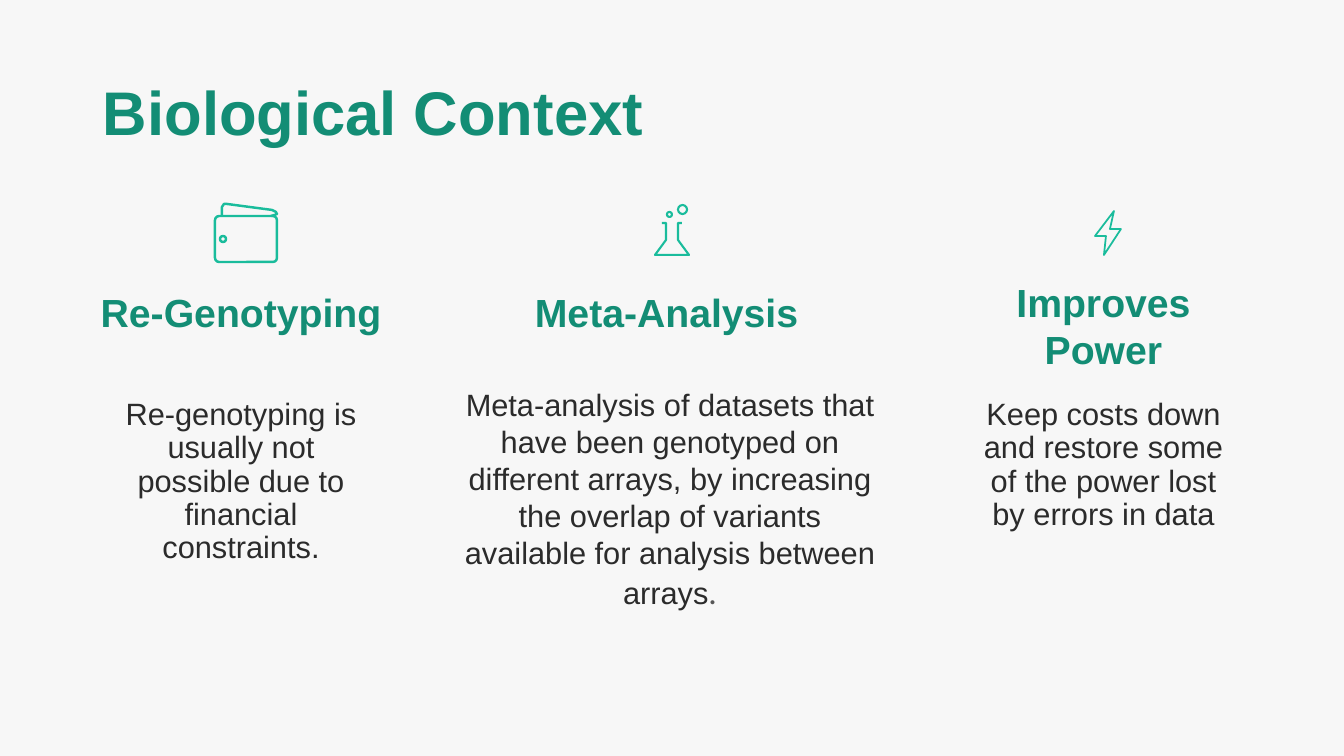
from lxml import etree
from pptx import Presentation
from pptx.dml.color import RGBColor
from pptx.enum.shapes import MSO_SHAPE
from pptx.enum.text import MSO_ANCHOR, MSO_AUTO_SIZE, PP_ALIGN
from pptx.oxml.ns import qn
from pptx.util import Pt

SCALE = 914400 / 100.8
BACKGROUND = RGBColor(0xF7, 0xF7, 0xF7)
GREEN = RGBColor(0x13, 0x8D, 0x75)
MINT = RGBColor(0x1A, 0xBC, 0x9C)
DARK = RGBColor(0x2B, 0x2B, 0x2B)
GRAY = RGBColor(0x56, 0x56, 0x56)
LEFT, CENTER = PP_ALIGN.LEFT, PP_ALIGN.CENTER
TOP, BOTTOM = MSO_ANCHOR.TOP, MSO_ANCHOR.BOTTOM
FIXED, GROW = MSO_AUTO_SIZE.NONE, MSO_AUTO_SIZE.SHAPE_TO_FIT_TEXT
OVAL, ROUNDED = MSO_SHAPE.OVAL, MSO_SHAPE.ROUNDED_RECTANGLE

TITLE = {"name": "Arial", "size": Pt(44), "bold": True}
HEADING = {"name": "Arial", "size": Pt(28), "bold": True}
BODY = {"name": "Arial", "size": Pt(22), "bold": False}
FULL_STOP = {"name": "Calibri", "size": Pt(24), "bold": False}


def px(value):
    return round(value * SCALE)


def apply(target, values):
    for name, value in values.items():
        setattr(target, name, value)


class SlideBuilder:
    """Holds the slide and draws its title, texts and line icons."""

    def __init__(self, presentation):
        self.slide = presentation.slides.add_slide(presentation.slide_layouts[5])
        self.slide.background.fill.solid()
        self.slide.background.fill.fore_color.rgb = BACKGROUND

    def place(self, shape, box):
        apply(shape, dict(zip(("left", "top", "width", "height"), map(px, box))))

    def fill_text(self, shape, runs, frame_format, paragraph_format):
        apply(shape.text_frame, {"word_wrap": True, **frame_format})
        paragraph = shape.text_frame.paragraphs[0]
        apply(paragraph, {"space_before": Pt(0), **paragraph_format})
        for text, style, color in runs:
            run = paragraph.add_run()
            run.text = text
            apply(run.font, style)
            run.font.color.rgb = color

    def title(self, text, box):
        shape = self.slide.shapes.title
        self.place(shape, box)
        shape.fill.solid()
        shape.fill.fore_color.rgb = BACKGROUND
        frame_format = {"vertical_anchor": TOP, "auto_size": FIXED, "margin_left": px(10),
                        "margin_top": px(9), "margin_bottom": 0}
        self.fill_text(shape, [(text, TITLE, GREEN)], frame_format,
                       {"alignment": LEFT, "line_spacing": 0.9})

    def text(self, runs, box, anchor=TOP, line_spacing=1.0):
        shape = self.slide.shapes.add_textbox(*map(px, box))
        frame_format = {"vertical_anchor": anchor, "auto_size": GROW, "margin_left": 0,
                        "margin_right": px(10), "margin_top": px(5), "margin_bottom": px(5)}
        self.fill_text(shape, runs, frame_format,
                       {"alignment": CENTER, "line_spacing": line_spacing})

    def icon(self):
        return self.slide.shapes.add_group_shape().shapes

    def outline(self, shape, weight):
        shape.shadow.inherit = False
        shape.fill.background()
        shape.line.color.rgb = MINT
        shape.line.width = Pt(weight)
        etree.SubElement(shape.line._get_or_add_ln(), qn("a:round"))

    def preset(self, icon, kind, box, weight):
        shape = icon.add_shape(kind, *map(px, box))
        if kind == ROUNDED:
            shape.adjustments[0] = 0.09
        self.outline(shape, weight)

    def path_line(self, icon, points, weight, close=False):
        builder = icon.build_freeform(*points[0], scale=SCALE)
        builder.add_line_segments(points[1:], close=close)
        self.outline(builder.convert_to_shape(), weight)


def main():
    presentation = Presentation()
    presentation.slide_width, presentation.slide_height = px(1344), px(756)
    builder = SlideBuilder(presentation)
    builder.title("Biological Context", (93, 73, 932, 67))

    for heading, box in (
        ("Re-Genotyping", (93, 283, 306, 57)),
        ("Meta-Analysis", (528, 283, 287, 57)),
        ("Improves Power", (965, 272, 287, 105)),
    ):
        builder.text([(heading, HEADING, GREEN)], box, BOTTOM)

    flask = builder.icon()
    builder.preset(flask, OVAL, (678, 205, 9, 9), 1.5)
    builder.preset(flask, OVAL, (667, 212, 5, 5), 1.5)
    builder.path_line(flask, [(662, 223), (666, 223), (666, 240), (655, 255),
                              (689, 255), (678, 240), (678, 223), (682, 223)], 1.5)

    bolt = builder.icon()
    builder.path_line(bolt, [(1114, 211), (1110, 229), (1121, 229), (1104, 255),
                             (1106, 236), (1095, 236)], 1.25, close=True)

    wallet = builder.icon()
    builder.preset(wallet, ROUNDED, (215, 216, 62, 46), 1.75)
    builder.path_line(wallet, [(222, 215), (222, 207), (224, 204), (227, 204), (272, 210),
                               (276, 212), (277, 214), (275, 215), (271, 216)], 1.75)
    builder.preset(wallet, OVAL, (220, 236, 6, 6), 1.75)

    for body, box in (
        ("Re-genotyping is usually not possible due to financial constraints.",
         (124, 394, 244, 178)),
        ("Keep costs down and restore some of the power lost by errors in data",
         (982, 394, 253, 178)),
    ):
        builder.text([(body, BODY, DARK)], box, line_spacing=0.9)
    analysis = ("Meta-analysis of datasets that have been genotyped on different arrays, "
                "by increasing the overlap of variants available for analysis between arrays")
    builder.text([(analysis, BODY, DARK), (".", FULL_STOP, GRAY)], (464, 381, 422, 238))

    presentation.save("out.pptx")


if __name__ == "__main__":
    main()
